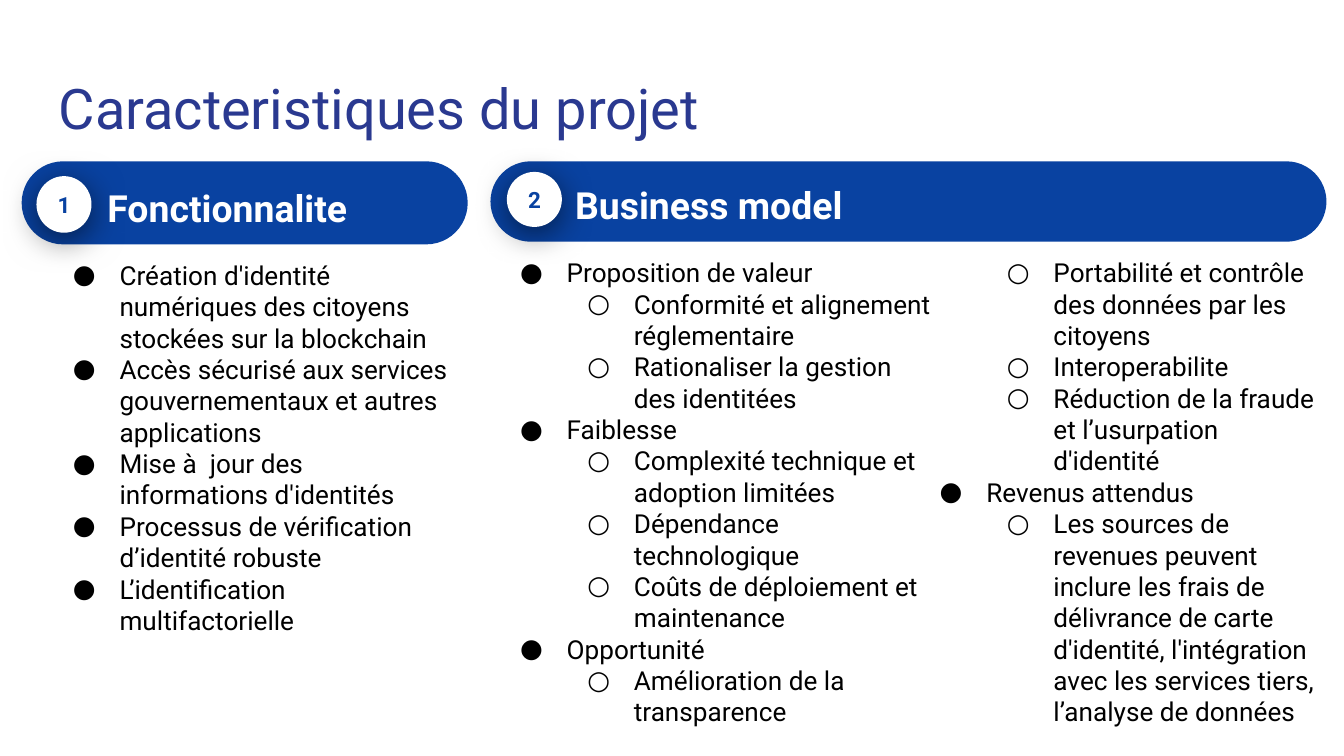
from lxml.etree import SubElement
from pptx import Presentation
from pptx.dml.color import RGBColor
from pptx.enum.shapes import MSO_SHAPE as Shape
from pptx.enum.text import MSO_ANCHOR as Anchor, PP_ALIGN as Align
from pptx.oxml.ns import qn
from pptx.util import Cm, Pt


def color(value):
    return RGBColor.from_string(value)


def write(frame, text, size, ink, bold=False, anchor=Anchor.MIDDLE):
    frame.word_wrap = True
    frame.vertical_anchor = anchor
    frame.margin_left = frame.margin_right = Cm(0.25)
    frame.margin_top = frame.margin_bottom = Cm(0.25)
    para = frame.paragraphs[0]
    if para.text:
        para = frame.add_paragraph()
    para.text = text
    para.font.name = "Roboto"
    para.font.size = Pt(size)
    para.font.bold = bold
    para.font.color.rgb = color(ink)
    return para


BLUE, NAVY, WHITE, BLACK = "0942A1", "2A3990", "FFFFFF", "000000"

deck = Presentation()
deck.slide_width, deck.slide_height = Cm(25.4), Cm(14.29)
page = deck.slides.add_slide(deck.slide_layouts[6])

title = page.shapes.add_textbox(Cm(0.86), Cm(1.14), Cm(23.67), Cm(1.68))
write(title.text_frame, "Caracteristiques du projet", 30, NAVY, anchor=Anchor.TOP)

sections = [
    ("1", "Fonctionnalite", (0.41, 3.05, 8.43, 1.57), (0.69, 3.33, 1.04, 1.07), (1.78, 3.3, 6.48, 1.12)),
    ("2", "Business model", (9.27, 3.05, 15.8, 1.52), (9.58, 3.25, 1.04, 1.04), (10.62, 3.25, 6.48, 1.09)),
]
for number, heading, pill_place, badge_place, heading_place in sections:
    pill = page.shapes.add_shape(Shape.ROUNDED_RECTANGLE, *map(Cm, pill_place))
    pill.adjustments[0] = 0.5
    badge = page.shapes.add_shape(Shape.OVAL, *map(Cm, badge_place))
    for shape, fill in ((pill, BLUE), (badge, WHITE)):
        shape.shadow.inherit = False
        shape.fill.solid()
        shape.fill.fore_color.rgb = color(fill)
        shape.line.fill.background()
    effects = badge.element.spPr.find(qn("a:effectLst"))
    shadow = SubElement(effects, qn("a:outerShdw"), blurRad=str(Pt(18)), dist=str(Pt(4)),
                        dir="5400000", algn="bl", rotWithShape="0")
    shade = SubElement(shadow, qn("a:srgbClr"), val=BLACK)
    SubElement(shade, qn("a:alpha"), val="55000")
    write(badge.text_frame, number, 12, BLUE, bold=True).alignment = Align.CENTER
    box = page.shapes.add_textbox(*map(Cm, heading_place))
    write(box.text_frame, heading, 20, WHITE, bold=True).line_spacing = 1.15

lists = [
    ((0.74, 4.65, 8.03, 1.42), [
        (0, "Création d'identité numériques des citoyens stockées sur la blockchain"),
        (0, "Accès sécurisé aux services gouvernementaux et autres applications"),
        (0, "Mise à  jour des informations d'identités"),
        (0, "Processus de vérification d’identité robuste"),
        (0, "L’identification multifactorielle"),
    ]),
    ((9.19, 4.6, 8.76, 1.4), [
        (0, "Proposition de valeur"),
        (1, "Conformité et alignement réglementaire"),
        (1, "Rationaliser la gestion des identitées"),
        (0, "Faiblesse"),
        (1, "Complexité technique et adoption limitées"),
        (1, "Dépendance technologique"),
        (1, "Coûts de déploiement et maintenance"),
        (0, "Opportunité"),
        (1, "Amélioration de la transparence"),
    ]),
    ((17.12, 4.6, 8.03, 1.52), [
        (1, "Portabilité et contrôle des données par les citoyens"),
        (1, "Interoperabilite"),
        (1, "Réduction de la fraude et l’usurpation d'identité"),
        (0, "Revenus attendus"),
        (1, "Les sources de revenues peuvent inclure les frais de délivrance de carte "
            "d'identité, l'intégration avec les services tiers, l’analyse de données"),
    ]),
]
for place, items in lists:
    box = page.shapes.add_textbox(*map(Cm, place))
    for level, text in items:
        para = write(box.text_frame, text, 14, BLACK, anchor=Anchor.TOP)
        para.level = level
        props = para._p.get_or_add_pPr()
        props.set("marL", str(Cm(1.27 * (level + 1))))
        props.set("indent", str(Cm(-0.88)))
        tint = SubElement(props, qn("a:buClr"))
        SubElement(tint, qn("a:srgbClr"), val=BLACK)
        face = SubElement(props, qn("a:buFont"), typeface="Roboto")
        mark = SubElement(props, qn("a:buChar"), char="●○"[level])
        for position, part in enumerate((tint, face, mark)):
            props.insert(position, part)

deck.save("out.pptx")
